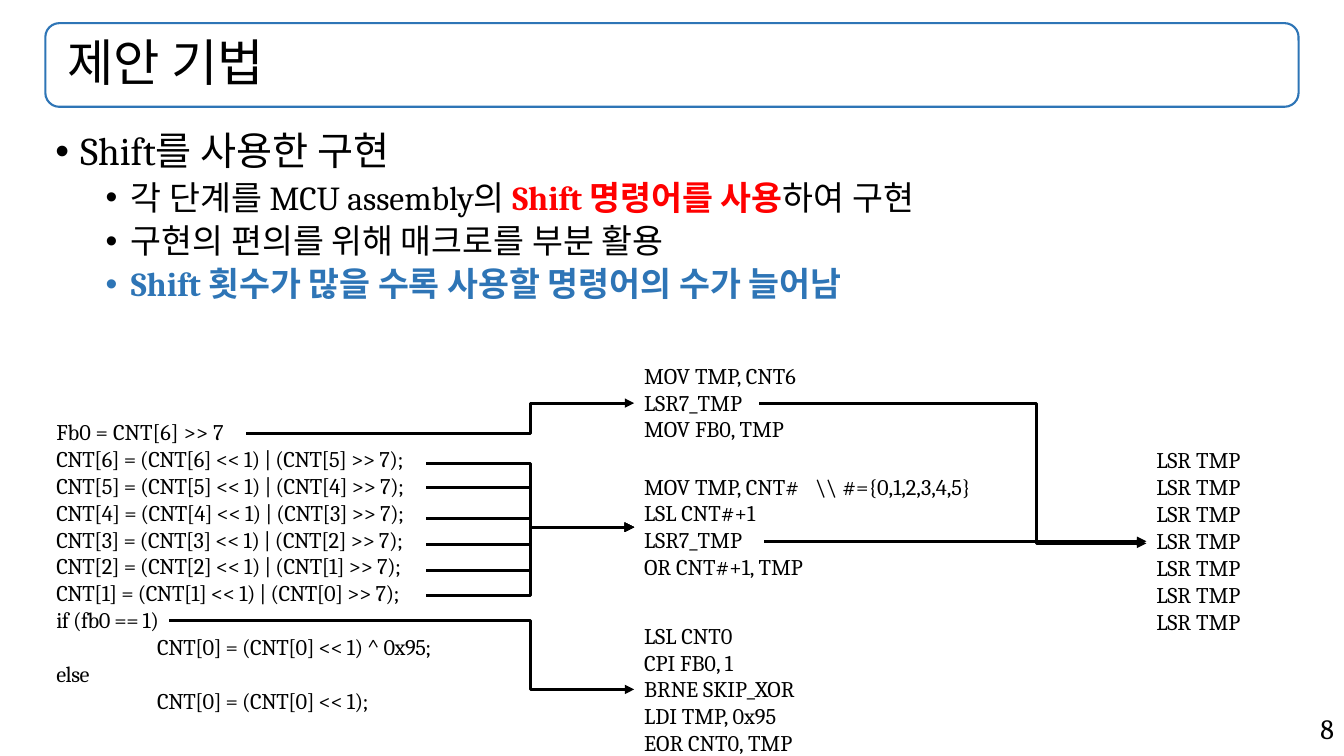
from dataclasses import dataclass

from lxml.etree import SubElement
from pptx import Presentation
from pptx.dml.color import RGBColor
from pptx.enum.shapes import MSO_CONNECTOR, MSO_SHAPE
from pptx.enum.text import MSO_ANCHOR as Anchor, PP_ALIGN as Align
from pptx.oxml.ns import qn
from pptx.util import Inches, Pt

BLACK = RGBColor(0x00, 0x00, 0x00)
RED = RGBColor(0xFF, 0x00, 0x00)
BLUE = RGBColor(0x2E, 0x75, 0xB6)
FONT = "Cambria"

LEFT, WIDTH = 0.45, 12.43  # shared by title and body
MIDDLE_X, RIGHT_X = 6.29, 11.37  # columns of assembly code
FIRST_BEND, SECOND_BEND = 5.26, 10.28  # where the arrows turn
MACRO_Y = 5.23


@dataclass
class Span:
    text: str
    color: RGBColor = BLACK
    bold: bool = False


@dataclass
class Bullet:
    level: int
    size: int
    before: int
    spans: list[Span]


@dataclass
class Code:
    left: float
    top: float
    width: float
    height: float
    lines: list[str]
    tab: float = 1.0
    tight_from: int | None = None  # first line with condensed letters


@dataclass
class Arrow:
    start_x: float
    start_y: float
    end_x: float
    end_y: float
    bend_x: float


BULLETS = [
    Bullet(0, 28, 0, [Span("Shift를 사용한 구현")]),
    Bullet(1, 24, 5, [Span("각 단계를 MCU assembly의 "),
                      Span("Shift 명령어를 사용", RED, True),
                      Span("하여 구현")]),
    Bullet(1, 24, 5, [Span("구현의 편의를 위해 매크로를 부분 활용")]),
    Bullet(1, 24, 5, [Span("Shift 횟수가 많을 수록 사용할 명령어의 수가 늘어남", BLUE, True)]),
]

SHIFT_LINES = [f"CNT[{n}] = (CNT[{n}] << 1) | (CNT[{n - 1}] >> 7);"
               for n in range(6, 0, -1)]

CODES = [
    Code(0.46, 4.1, 4.12, 3.06,
         ["Fb0 = CNT[6] >> 7", *SHIFT_LINES, "if (fb0 == 1)",
          "\tCNT[0] = (CNT[0] << 1) ^ 0x95;", "else",
          "\tCNT[0] = (CNT[0] << 1);"], tight_from=1),
    Code(MIDDLE_X, 3.54, 4.12, 0.91, ["MOV TMP, CNT6", "LSR7_TMP", "MOV FB0, TMP"]),
    Code(MIDDLE_X, 4.64, 4.12, 1.18,
         ["MOV TMP, CNT#\t\\\\ #={0,1,2,3,4,5}", "LSL CNT#+1", "LSR7_TMP",
          "OR CNT#+1, TMP"], tab=1.7),
    Code(MIDDLE_X, 6.12, 4.12, 1.45,
         ["LSL CNT0", "CPI FB0, 1", "BRNE SKIP_XOR", "LDI TMP, 0x95",
          "EOR CNT0, TMP"]),
    Code(RIGHT_X, 4.38, 1.51, 1.99, ["LSR TMP"] * 7),
]

ARROWS = [
    Arrow(2.44, 4.3, MIDDLE_X, 4.0, FIRST_BEND),
    *[Arrow(4.23, y, MIDDLE_X, MACRO_Y, FIRST_BEND)
      for y in (4.6, 4.84, 5.14, 5.4, 5.66, 5.91)],
    Arrow(1.68, 6.16, MIDDLE_X, 6.84, FIRST_BEND),
    Arrow(7.53, 4.0, RIGHT_X, 5.37, SECOND_BEND),
    Arrow(7.58, 5.37, RIGHT_X, 5.39, SECOND_BEND),
]


def add_box(page, left: float, top: float, width: float, height: float):
    box = page.shapes.add_textbox(Inches(left), Inches(top), Inches(width), Inches(height))
    box.text_frame.word_wrap = True
    return box.text_frame


def next_para(frame, index: int):
    return frame.add_paragraph() if index else frame.paragraphs[0]


def add_span(para, span: Span, size: int):
    run = para.add_run()
    run.text = span.text
    run.font.name = FONT
    run.font.size = Pt(size)
    run.font.bold = span.bold
    run.font.color.rgb = span.color
    return run


def draw_title(page) -> None:
    area = LEFT, 0.23, WIDTH, 0.83
    border = page.shapes.add_shape(MSO_SHAPE.ROUNDED_RECTANGLE, *map(Inches, area))
    border.shadow.inherit = False
    border.fill.background()
    border.line.color.rgb = BLUE
    border.line.width = Pt(1.5)
    frame = add_box(page, *area)
    frame.vertical_anchor = Anchor.MIDDLE
    frame.margin_left = Inches(0.22)
    frame.paragraphs[0].line_spacing = 0.9
    add_span(frame.paragraphs[0], Span("제안 기법"), 36)


def draw_bullets(page) -> None:
    frame = add_box(page, LEFT, 1.26, WIDTH, 5.53)
    for index, bullet in enumerate(BULLETS):
        para = next_para(frame, index)
        para.level = bullet.level
        para.line_spacing = 0.9
        para.space_before = Pt(bullet.before)
        props = para._p.get_or_add_pPr()
        props.set("marL", str(Inches(0.25 + 0.5 * bullet.level)))
        props.set("indent", str(Inches(-0.25)))
        SubElement(props, qn("a:buFont"), typeface="Arial")
        SubElement(props, qn("a:buChar"), char="•")
        for span in bullet.spans:
            add_span(para, span, bullet.size)


def draw_code(page, code: Code) -> None:
    frame = add_box(page, code.left, code.top, code.width, code.height)
    for index, line in enumerate(code.lines):
        para = next_para(frame, index)
        if "\t" in line:
            tabs = SubElement(para._p.get_or_add_pPr(), qn("a:tabLst"))
            SubElement(tabs, qn("a:tab"), pos=str(Inches(code.tab)), algn="l")
        run = add_span(para, Span(line), 16)
        if code.tight_from is not None and index >= code.tight_from:
            run._r.get_or_add_rPr().set("spc", "-30")


def draw_arrow(page, arrow: Arrow) -> None:
    ends = arrow.start_x, arrow.start_y, arrow.end_x, arrow.end_y
    link = page.shapes.add_connector(MSO_CONNECTOR.ELBOW, *map(Inches, ends))
    link.line.color.rgb = BLACK
    link.line.width = Pt(2.25)
    props = link._element.spPr
    # Bend position as a share of the arrow's width
    share = (arrow.bend_x - arrow.start_x) / (arrow.end_x - arrow.start_x)
    guides = props.find(qn("a:prstGeom")).find(qn("a:avLst"))
    SubElement(guides, qn("a:gd"), name="adj1", fmla=f"val {round(share * 100000)}")
    SubElement(props.find(qn("a:ln")), qn("a:tailEnd"), type="triangle")
    SubElement(props, qn("a:effectLst"))


def draw_number(page) -> None:
    para = add_box(page, 9.43, 7.01, 3.9, 0.44).paragraphs[0]
    para.alignment = Align.RIGHT
    add_span(para, Span("8"), 20)


def main() -> None:
    deck = Presentation()
    deck.slide_width, deck.slide_height = Inches(13.33), Inches(7.5)
    page = deck.slides.add_slide(deck.slide_layouts[6])
    draw_number(page)
    draw_title(page)
    draw_bullets(page)
    for code in CODES:
        draw_code(page, code)
    for arrow in ARROWS:
        draw_arrow(page, arrow)
    deck.save("out.pptx")


if __name__ == "__main__":
    main()
